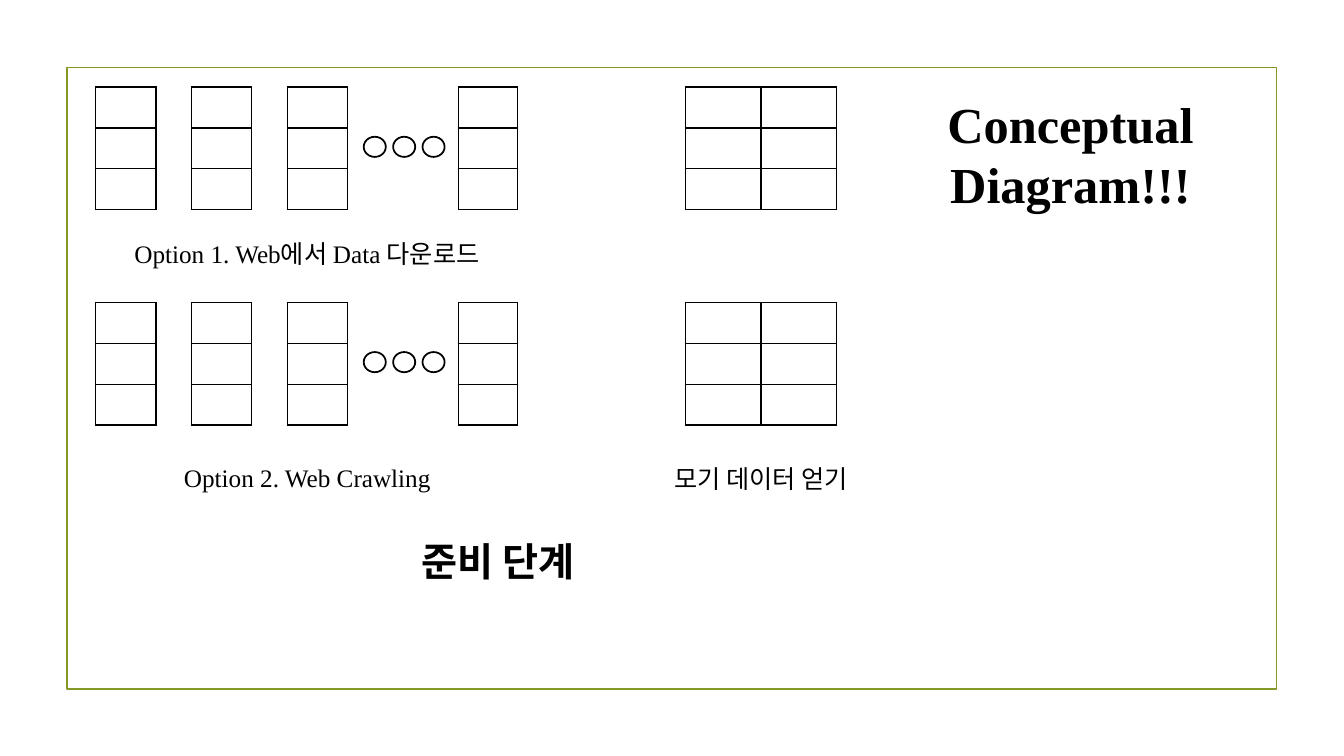
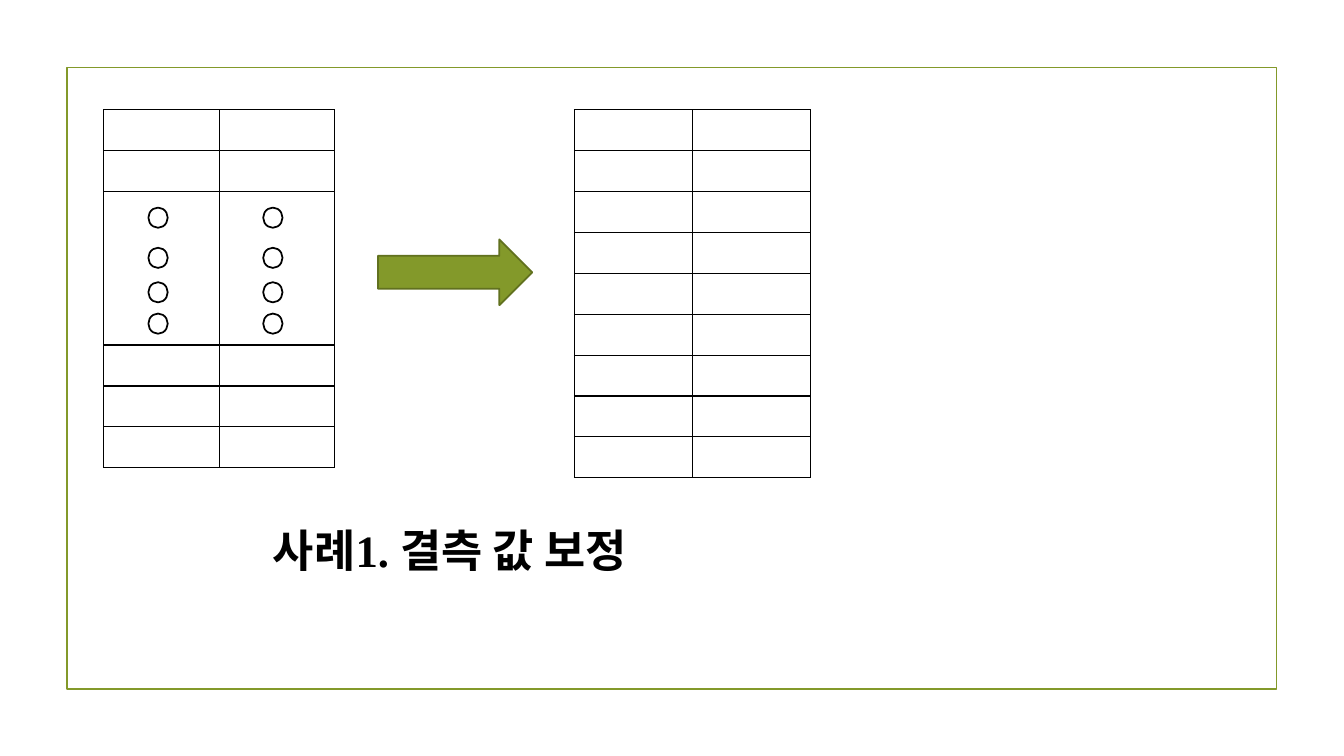
"""Builds a two-page conceptual diagram of a data preparation workflow."""
from dataclasses import dataclass

from lxml import etree
from pptx import Presentation
from pptx.dml.color import RGBColor
from pptx.enum.shapes import MSO_SHAPE
from pptx.enum.text import MSO_ANCHOR, MSO_AUTO_SIZE, PP_ALIGN
from pptx.oxml.ns import qn
from pptx.util import Pt

RECTANGLE = MSO_SHAPE.RECTANGLE
CIRCLE = MSO_SHAPE.FLOWCHART_CONNECTOR
RIGHT_ARROW = MSO_SHAPE.RIGHT_ARROW
TOP = MSO_ANCHOR.TOP
CENTER = PP_ALIGN.CENTER
NO_AUTOFIT = MSO_AUTO_SIZE.NONE
TITLE_ONLY = 5


@dataclass(frozen=True)
class Theme:
    ink: str = "000000"
    paper: str = "FFFFFF"
    accent: str = "83992A"
    accent_dark: str = "61711F"
    latin: str = "Times New Roman"
    korean: str = "Noto Sans CJK KR"
    label: int = 18
    stage: int = 28
    case: int = 32
    headline: int = 36
    outline: float = 1.25
    border: int = 1
    row: float = 29.2


THEME = Theme()


def color(code):
    return RGBColor.from_string(code)


def add_figure(page, kind, area, fill, line):
    figure = page.shapes.add_shape(kind, *map(Pt, area))
    figure.shadow.inherit = False
    if fill:
        figure.fill.solid()
        figure.fill.fore_color.rgb = color(fill)
    else:
        figure.fill.background()
    figure.line.color.rgb = color(line)
    figure.line.width = Pt(THEME.outline)
    return figure


def add_circles(page, spots, width):
    for left, top in spots:
        add_figure(page, CIRCLE, (left, top, width, 14.4), THEME.paper, THEME.ink)


def add_grid(page, left, top, column_width, columns, row_heights):
    frame = page.shapes.add_table(
        len(row_heights), columns, Pt(left), Pt(top),
        Pt(column_width * columns), Pt(sum(row_heights)))
    table = frame.table
    table.first_row = table.horz_banding = False
    for column in table.columns:
        column.width = Pt(column_width)
    for row, height in zip(table.rows, row_heights):
        row.height = Pt(height)
    for cell in table.iter_cells():
        cell.margin_top = cell.margin_bottom = 0
        cell.fill.solid()
        cell.fill.fore_color.rgb = color(THEME.paper)
    for properties in frame.element.iter(qn("a:tcPr")):
        add_borders(properties)


def add_borders(properties):
    for index, side in enumerate(("a:lnL", "a:lnR", "a:lnT", "a:lnB")):
        line = etree.Element(qn(side), w=str(Pt(THEME.border)))
        fill = etree.SubElement(line, qn("a:solidFill"))
        etree.SubElement(fill, qn("a:srgbClr"), val=THEME.ink)
        properties.insert(index, line)


def write_text(box, text, area, size, bold=False, font=THEME.latin):
    box.left, box.top, box.width, box.height = map(Pt, area)
    frame = box.text_frame
    frame.word_wrap = True
    frame.auto_size = NO_AUTOFIT
    frame.vertical_anchor = TOP
    para = frame.paragraphs[0]
    para.alignment = CENTER
    span = para.add_run()
    span.text = text
    span.font.size = Pt(size)
    span.font.bold = bold
    span.font.name = font
    span.font.color.rgb = color(THEME.ink)
    for properties in para.runs[0].font.fill and box.element.iter(qn("a:rPr")):
        etree.SubElement(properties, qn("a:ea"), typeface=THEME.korean)


def add_label(page, text, area, size=THEME.label, **style):
    write_text(page.shapes.add_textbox(0, 0, 0, 0), text, area, size, **style)


def add_master_frame(deck, page):
    frame = add_figure(page, RECTANGLE, (47.8, 48.2, 864, 444.2), None, THEME.accent)
    deck.slide_master.shapes.element.append(frame.element)


def build_preparation(page):
    pitch = 68.4
    rows = [THEME.row] * 3
    for top in (62.2, 216):
        for step in (1, 2, 3):
            add_grid(page, pitch * step, top, 43, 1, rows)
        add_grid(page, 327.6, top, 42, 1, rows)
        add_grid(page, 489.6, top, 54, 2, rows)
        add_circles(page, [(259.8 + 21 * step, top + 35.5) for step in range(3)], 15.8)
    add_label(page, "Option 1. Web에서 Data 다운로드", (68.4, 167, 301.7, 29))
    add_label(page, "Option 2. Web Crawling", (69, 327, 301, 29))
    add_label(page, "모기 데이터 얻기", (465, 327.5, 157, 29))
    add_label(page, "준비 단계", (125.3, 380, 460.8, 41), THEME.stage,
              bold=True, font=THEME.korean)
    write_text(page.shapes.title, "Conceptual Diagram!!!", (637.2, 62.6, 254.9, 94.5),
               THEME.headline, bold=True)


def build_missing_values(page):
    row = THEME.row
    add_grid(page, 74.2, 78.5, 82.3, 2, [row, row, 109.6, row, row, row])
    add_grid(page, 410.4, 78.5, 84.3, 2, [row] * 9)
    add_circles(page, [(left, top) for left in (106, 188)
                       for top in (148.3, 177, 201.6, 224)], 13.8)
    add_figure(page, RIGHT_ARROW, (270, 171, 110.2, 47), THEME.accent, THEME.accent_dark)
    write_text(page.shapes.title, "사례1. 결측 값 보정", (148.3, 370, 346.3, 46),
               THEME.case, bold=True)


def main():
    deck = Presentation()
    deck.slide_width, deck.slide_height = Pt(960), Pt(540)
    builders = (build_preparation, build_missing_values)
    pages = [deck.slides.add_slide(deck.slide_layouts[TITLE_ONLY]) for _ in builders]
    add_master_frame(deck, pages[0])
    for build, page in zip(builders, pages):
        build(page)
    deck.save("out.pptx")


if __name__ == "__main__":
    main()
